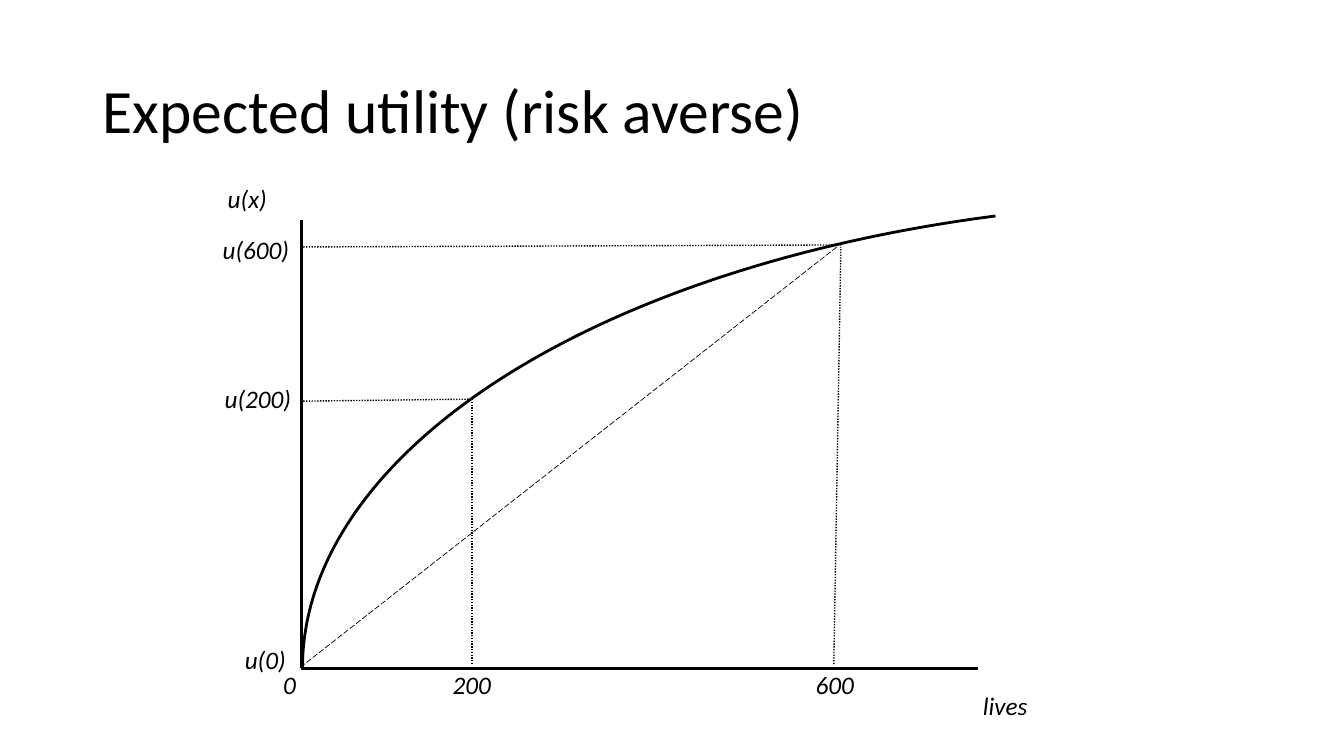
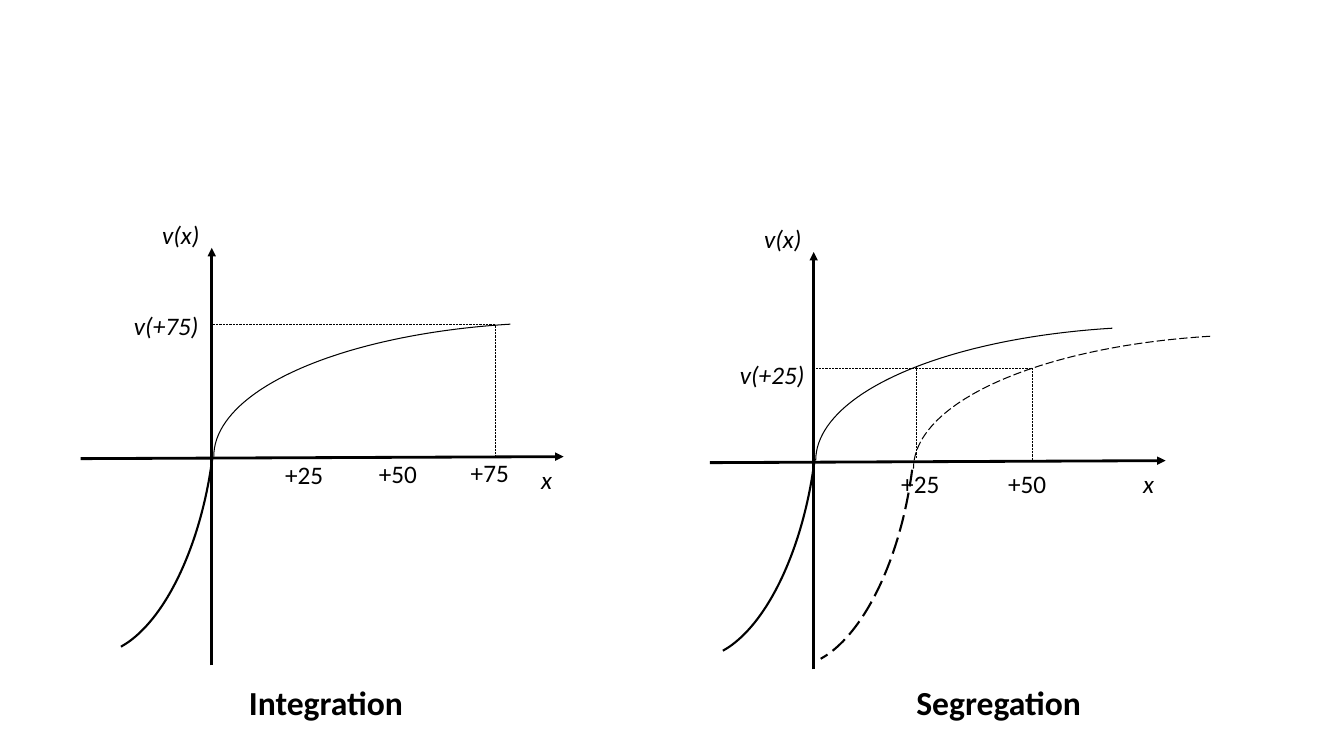
from dataclasses import dataclass

from pptx import Presentation
from pptx.dml.color import RGBColor
from pptx.enum.dml import MSO_LINE
from pptx.enum.shapes import MSO_CONNECTOR, MSO_SHAPE
from pptx.enum.text import MSO_ANCHOR, MSO_AUTO_SIZE, PP_ALIGN
from pptx.oxml.ns import qn
from pptx.util import Inches, Pt
from lxml.etree import SubElement


@dataclass(frozen=True)
class Theme:
    ink: RGBColor = RGBColor(0, 0, 0)
    font: str = "Calibri"
    title: int = 44
    caption: int = 24
    label: int = 18
    axis: float = 2
    curve: float = 1.5
    guide: float = 1
    fine: float = 0.5
    hairline: float = 0


THEME = Theme()
DOT, DASH = MSO_LINE.ROUND_DOT, MSO_LINE.LONG_DASH

# Content: labels are (text, left, top, width); guides are (start, end)
UTILITY_TITLE = "Expected utility (risk averse)"
UTILITY_ORIGIN = (2.99, 6.63)
UTILITY_AXIS_ENDS = [(2.99, 2.18), (9.7, 6.63)]
UTILITY_CURVE = (3, 2, 18.25, 9.26)
UTILITY_CHORD = ((8.3, 2.45), (2.98, 6.62))
UTILITY_GUIDES = [
    ((4.68, 6.59), (4.68, 3.95)),
    ((8.27, 6.59), (8.34, 2.45)),
    ((2.98, 2.45), (8.34, 2.43)),
    ((2.98, 3.98), (4.66, 3.96)),
]
UTILITY_LABELS = [
    ("u(x)", 2.16, 1.77, 0.68),
    ("u(600)", 2.11, 2.28, 0.87),
    ("u(200)", 2.13, 3.75, 0.87),
    ("u(0)", 2.33, 6.34, 0.87),
    ("0", 2.71, 6.59, 0.55),
    ("200", 4.39, 6.59, 0.69),
    ("600", 7.99, 6.59, 0.69),
    ("lives", 9.65, 6.8, 0.69),
]

# Value panels: everything is measured from the panel's origin
VALUE_PANELS = [
    dict(caption="Integration", caption_left=2.37, origin=(2.1, 4.54), left_end=-1.3,
         shifted=None,
         guides=[((2.81, -1.32), (2.81, -0.01)), ((2.81, -1.32), (0, -1.32))],
         ticks=[("+25", 0.63, -0.03, 0.71), ("+50", 1.56, -0.04, 0.71),
                ("+75", 2.47, -0.05, 0.71)],
         values=[("v(+75)", -0.87, -1.51, 0.89)]),
    dict(caption="Segregation", caption_left=8.99, origin=(8.07, 4.58), left_end=-1.03,
         shifted=(0.97, 0.08),
         guides=[((2.17, -0.93), (2.17, -0.01)), ((2.17, -0.93), (0.02, -0.93)),
                 ((1.02, -0.95), (1.02, -0.03))],
         ticks=[("+25", 0.77, 0.02, 0.71), ("+50", 1.83, 0.02, 0.71)],
         values=[("v(+25)", -0.83, -1.06, 0.89)]),
]
VALUE_AXIS_NAMES = [("x", 3.17, 0.02, 0.46), ("v(x)", -0.59, -2.41, 0.6)]
GAIN_BOX = (0.02, -1.34, 6.98, 2.66)
LOSS_BOX = (-3.05, -1.1, 4.18, 1.95)

# Arc angles in degrees
UTILITY_ARC = (296.65, 0)
GAIN_ARC = (292.62, 0)
LOSS_ARC = (270, 350.89)
LOSS_TURN = 97.4


def shift(point, origin):
    return point[0] + origin[0], point[1] + origin[1]


def write(frame, text, size=THEME.label, bold=False, italic=False):
    frame.word_wrap = True
    paragraph = frame.paragraphs[0]
    paragraph.alignment = PP_ALIGN.LEFT
    run = paragraph.add_run()
    run.text = text
    run.font.name, run.font.size = THEME.font, Pt(size)
    run.font.bold, run.font.italic = bold, italic
    run.font.color.rgb = THEME.ink
    return paragraph


def add_label(slide, label, origin=(0, 0), height=0.4, **style):
    text, left, top, width = label
    left, top = shift((left, top), origin)
    box = slide.shapes.add_textbox(*map(Inches, (left, top, width, height)))
    write(box.text_frame, text, **style)
    box.text_frame.auto_size = MSO_AUTO_SIZE.SHAPE_TO_FIT_TEXT


def ink_line(line, weight, dash=None):
    line.color.rgb = THEME.ink
    line.width = Pt(weight)
    if dash is not None:
        line.dash_style = dash


def add_line(slide, start, end, weight, dash=None, arrow=False, origin=(0, 0)):
    ends = shift(start, origin) + shift(end, origin)
    connector = slide.shapes.add_connector(MSO_CONNECTOR.STRAIGHT, *map(Inches, ends))
    ink_line(connector.line, weight, dash)
    properties = connector._element.spPr
    if arrow:
        SubElement(properties.find(qn("a:ln")), qn("a:tailEnd"), type="triangle")
    SubElement(properties, qn("a:effectLst"))


def add_arc(slide, box, angles, weight, dash=None, turn=0, mirrored=False, origin=(0, 0)):
    place = shift(box[:2], origin) + box[2:]
    arc = slide.shapes.add_shape(MSO_SHAPE.ARC, *map(Inches, place))
    # An arc stores 60000ths of a degree; adjustments count 100000ths
    for index, angle in enumerate(angles):
        arc.adjustments[index] = angle * 0.6
    arc.rotation = turn
    if mirrored:
        arc._element.spPr.get_or_add_xfrm().set("flipH", "1")
    arc.shadow.inherit = False
    arc.fill.background()
    ink_line(arc.line, weight, dash)


def add_value_curve(slide, origin, dash=None):
    add_arc(slide, GAIN_BOX, GAIN_ARC, THEME.hairline, dash, mirrored=True, origin=origin)
    add_arc(slide, LOSS_BOX, LOSS_ARC, THEME.curve, dash, turn=LOSS_TURN, origin=origin)


def build_utility(prs):
    slide = prs.slides.add_slide(prs.slide_layouts[5])
    # Title
    title = slide.shapes.title
    title.left, title.top, title.width, title.height = map(Inches, (0.92, 0.4, 11.5, 1.45))
    write(title.text_frame, UTILITY_TITLE, size=THEME.title).line_spacing = 0.9
    title.text_frame.vertical_anchor = MSO_ANCHOR.MIDDLE
    # Axes and curve
    for end in UTILITY_AXIS_ENDS:
        add_line(slide, UTILITY_ORIGIN, end, THEME.axis)
    add_arc(slide, UTILITY_CURVE, UTILITY_ARC, THEME.axis, mirrored=True)
    # Guides and labels
    for start, end in UTILITY_GUIDES:
        add_line(slide, start, end, THEME.guide, DOT)
    add_line(slide, *UTILITY_CHORD, THEME.fine, DASH)
    for label in UTILITY_LABELS:
        add_label(slide, label, italic=True)


def build_value_panel(slide, panel):
    origin = panel["origin"]
    # Curves
    add_value_curve(slide, origin)
    if panel["shifted"]:
        add_value_curve(slide, shift(panel["shifted"], origin), DASH)
    # Axes
    add_line(slide, (0, 2.06), (0, -2.08), THEME.axis, arrow=True, origin=origin)
    add_line(slide, (panel["left_end"], 0.01), (3.49, -0.01), THEME.axis,
             arrow=True, origin=origin)
    # Guides and labels
    for start, end in panel["guides"]:
        add_line(slide, start, end, THEME.fine, DOT, origin=origin)
    for label in VALUE_AXIS_NAMES + panel["values"]:
        add_label(slide, label, origin, italic=True)
    for label in panel["ticks"]:
        add_label(slide, label, origin)
    caption = (panel["caption"], panel["caption_left"], 6.72, 3.94)
    add_label(slide, caption, height=0.5, size=THEME.caption, bold=True)


def main():
    prs = Presentation()
    prs.slide_width, prs.slide_height = Inches(13.33), Inches(7.5)
    build_utility(prs)
    value_slide = prs.slides.add_slide(prs.slide_layouts[6])
    for panel in VALUE_PANELS:
        build_value_panel(value_slide, panel)
    prs.save("out.pptx")


if __name__ == "__main__":
    main()
